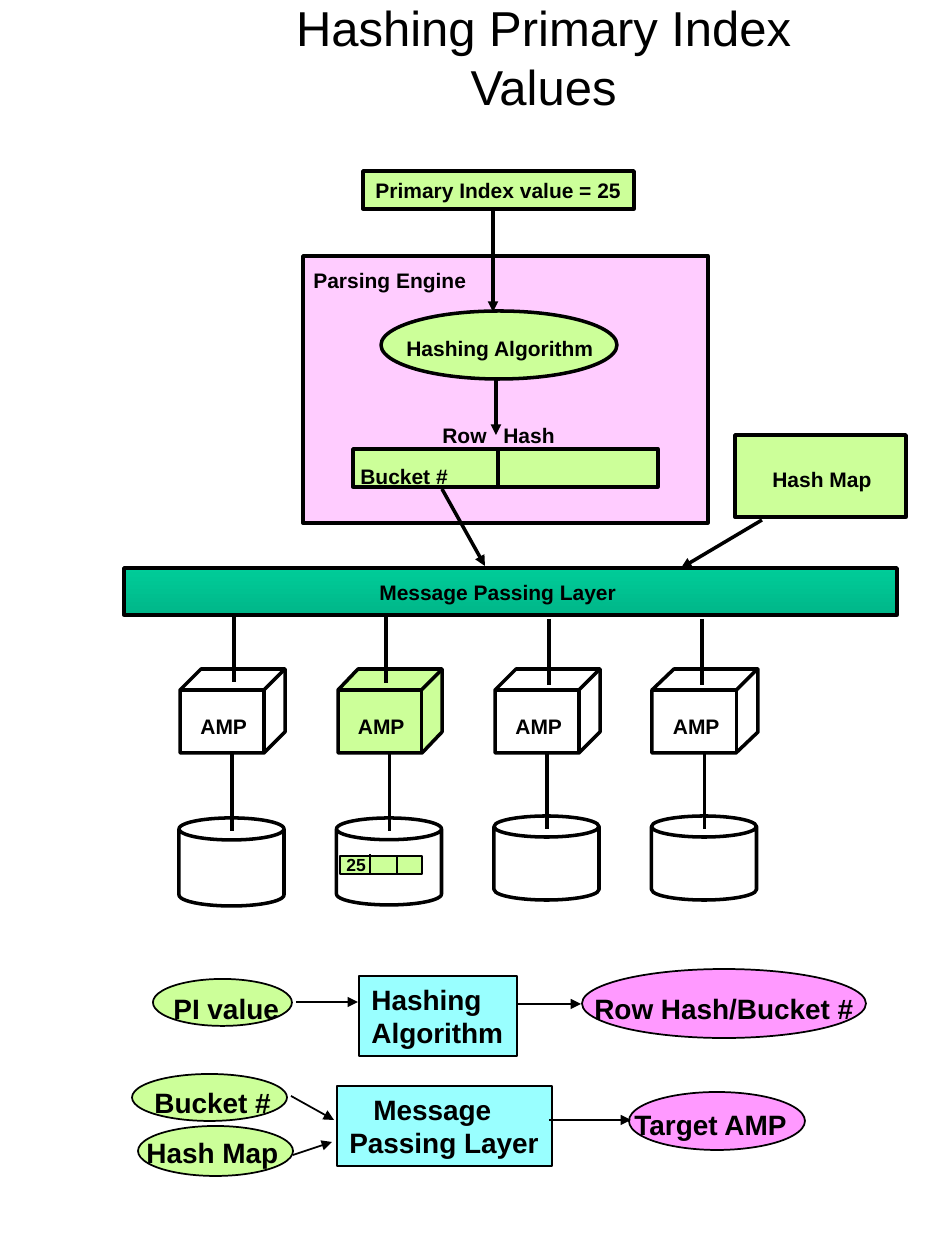
import pptx
import pptx.util
import pptx.dml.color
import pptx.enum.shapes
import pptx.enum.text
import pptx.oxml.ns
import lxml.etree

SCALE = 914400 / 126
FONT = "Arial"
HEX = {"ink": "000000", "lime": "CCFF99", "pink": "FFCCFF", "rose": "FF99FF",
       "aqua": "99FFFF", "jade": "00CC99", "moss": "00B789"}
KIND = pptx.enum.shapes.MSO_SHAPE
RECT, OVAL, CAN = KIND.RECTANGLE, KIND.OVAL, KIND.CAN

TITLE = "Hashing Primary Index Values"

FLOW = [
    (RECT, (303, 256, 405, 267), "pink", 2),
    (RECT, (353, 449, 305, 38), "lime", 2),
    (RECT, (363, 171, 271, 38), "lime", 2, ["Primary Index value = 25"], 12),
    (RECT, (124, 568, 773, 47), "jade", 2),
    (RECT, (735, 435, 171, 82), "lime", 2),
    (OVAL, (582, 969, 284, 69), "rose", 1),
    (OVAL, (629, 1092, 176, 58), "rose", 1),
    (OVAL, (153, 979, 139, 47), "lime", 1),
    (OVAL, (132, 1074, 155, 47), "lime", 1),
    (OVAL, (138, 1126, 155, 50), "lime", 1),
    (RECT, (359, 976, 158, 80), "aqua", 1, ["Hashing", "Algorithm"], 16),
    (RECT, (337, 1086, 215, 80), "aqua", 1, ["Message", "Passing Layer"], 16, 24),
]
HASHER = (OVAL, (381, 311, 236, 68), "lime", 2)
RECORD = (RECT, (340, 856, 82, 18), "lime", 1)

LINKS = [
    (498, 448, 498, 487, 2, False), (496, 379, 496, 435, 2, True),
    (493, 210, 493, 312, 2, True), (442, 489, 485, 566, 2, True),
    (762, 520, 681, 568, 2, True), (296, 1002, 358, 1002, 1, True),
    (518, 1004, 581, 1004, 1, True), (549, 1120, 631, 1120, 1, True),
    (291, 1096, 334, 1120, 1, True), (293, 1155, 332, 1142, 1, True),
]
CELLS = [(370, 854, 370, 874, 1, False), (397, 857, 397, 873, 1, False)]

LABELS = [
    ("Bucket #", 12, (348, 457, 113, 38)),
    ("Row\tHash", 12, (430, 416, 139, 38)),
    ("Parsing Engine", 12, (301, 261, 179, 38)),
    ("Message Passing Layer", 12, (367, 573, 262, 38)),
    ("Hash Map", 12, (760, 460, 125, 38)),
    ("Hashing Algorithm", 12, (394, 329, 213, 38)),
    ("25", 10, (334, 848, 45, 34)),
    ("PI value", 16, (161, 985, 131, 47)),
    ("Row Hash/Bucket #", 16, (582, 985, 285, 47)),
    ("Bucket #", 16, (142, 1079, 142, 47)),
    ("Hash Map", 16, (134, 1129, 158, 47)),
    ("Target AMP", 16, (622, 1101, 180, 47)),
]
TAB = 61

AMPS = [
    {"fill": None, "feed": (234, 616), "can": (818, 88)},
    {"fill": "lime", "feed": (386, 617), "can": (818, 87)},
    {"fill": None, "feed": (549, 619), "can": (816, 84)},
    {"fill": None, "feed": (702, 619), "can": (816, 84)},
]
LEFT, PITCH = 180, 157.5
TOP, WIDE, HIGH, DEPTH = 669, 105, 84, 21


def px(*nums):
    return [pptx.util.Emu(round(n * SCALE)) for n in nums]


def hue(name):
    return pptx.dml.color.RGBColor.from_string(HEX[name])


def paint(shape, fill, width):
    shape.shadow.inherit = False
    if fill is None:
        shape.fill.background()
    elif fill == "jade":
        shape.fill.gradient()
        shape.fill.gradient_angle = 270
        for stop, name in zip(shape.fill.gradient_stops, ("jade", "moss")):
            stop.color.rgb = hue(name)
    else:
        shape.fill.solid()
        shape.fill.fore_color.rgb = hue(fill)
    shape.line.color.rgb = hue("ink")
    shape.line.width = pptx.util.Pt(width)


def write(shape, lines, size, indent=0):
    frame = shape.text_frame
    frame.word_wrap = False
    frame.auto_size = pptx.enum.text.MSO_AUTO_SIZE.SHAPE_TO_FIT_TEXT
    frame.vertical_anchor = pptx.enum.text.MSO_ANCHOR.TOP
    for i, line in enumerate(lines):
        para = frame.add_paragraph() if i else frame.paragraphs[0]
        para.alignment = pptx.enum.text.PP_ALIGN.LEFT
        props = para._p.get_or_add_pPr()
        if indent and i == 0:
            props.set("marL", str(px(indent)[0]))
        if "\t" in line:
            tabs = lxml.etree.SubElement(props, pptx.oxml.ns.qn("a:tabLst"))
            lxml.etree.SubElement(tabs, pptx.oxml.ns.qn("a:tab"),
                                  pos=str(px(TAB)[0]), algn="l")
        style(para.add_run(), line, size, True)


def style(run, text, size, bold):
    run.text = text
    run.font.name = FONT
    run.font.size = pptx.util.Pt(size)
    run.font.bold = bold
    run.font.color.rgb = hue("ink")


def draw(kind, box, fill, width, lines=(), size=12, indent=0):
    shape = shapes.add_shape(kind, *px(*box))
    paint(shape, fill, width)
    if lines:
        write(shape, lines, size, indent)


def link(x1, y1, x2, y2, width=2, arrow=False):
    line = shapes.add_connector(pptx.enum.shapes.MSO_CONNECTOR.STRAIGHT,
                                *px(x1, y1, x2, y2))
    line.line.color.rgb = hue("ink")
    line.line.width = pptx.util.Pt(width)
    if arrow:
        lxml.etree.SubElement(line.line._get_or_add_ln(),
                              pptx.oxml.ns.qn("a:tailEnd"), type="triangle")
    lxml.etree.SubElement(line._element.spPr, pptx.oxml.ns.qn("a:effectLst"))


def label(text, size, box):
    write(shapes.add_textbox(*px(*box)), [text], size)


def cube(x, fill):
    right, base, front, face = x + WIDE, TOP + HIGH, x + HIGH, TOP + DEPTH
    rim = [(x, face), (x, base), (front, base), (right, base - DEPTH), (right, TOP)]
    pen = shapes.build_freeform(x + DEPTH, TOP, scale=SCALE)
    pen.add_line_segments(rim, close=True)
    paint(pen.convert_to_shape(), fill, 2)
    for end in (rim[0], rim[2], rim[4]):
        link(front, face, *end)


deck = pptx.Presentation()
deck.slide_width, deck.slide_height = px(945, 1260)
slide = deck.slides.add_slide(deck.slide_layouts[5])
shapes = slide.shapes

title = shapes.title
title.left, title.top, title.width, title.height = px(205, 0, 677, 112)
title.text_frame.word_wrap = True
title.text_frame.auto_size = pptx.enum.text.MSO_AUTO_SIZE.NONE
title.text_frame.vertical_anchor = pptx.enum.text.MSO_ANCHOR.MIDDLE
head = title.text_frame.paragraphs[0]
head.alignment = pptx.enum.text.PP_ALIGN.CENTER
style(head.add_run(), TITLE, 28, False)

for part in FLOW:
    draw(*part)
for part in LINKS:
    link(*part)
draw(*HASHER)

for i, amp in enumerate(AMPS):
    x = LEFT + i * PITCH
    cube(x, amp["fill"])
    label("AMP", 12, (x + 8, 707, 72, 38))
    top, high = amp["can"]
    draw(CAN, (x - 1, top, WIDE, high), None, 2)
    link(x + 52, TOP + HIGH, x + 52, top + 13)
    feed, start = amp["feed"]
    link(feed, start, feed, start + 66)

draw(*RECORD)
for part in CELLS:
    link(*part)
for part in LABELS:
    label(*part)

deck.save("out.pptx")
